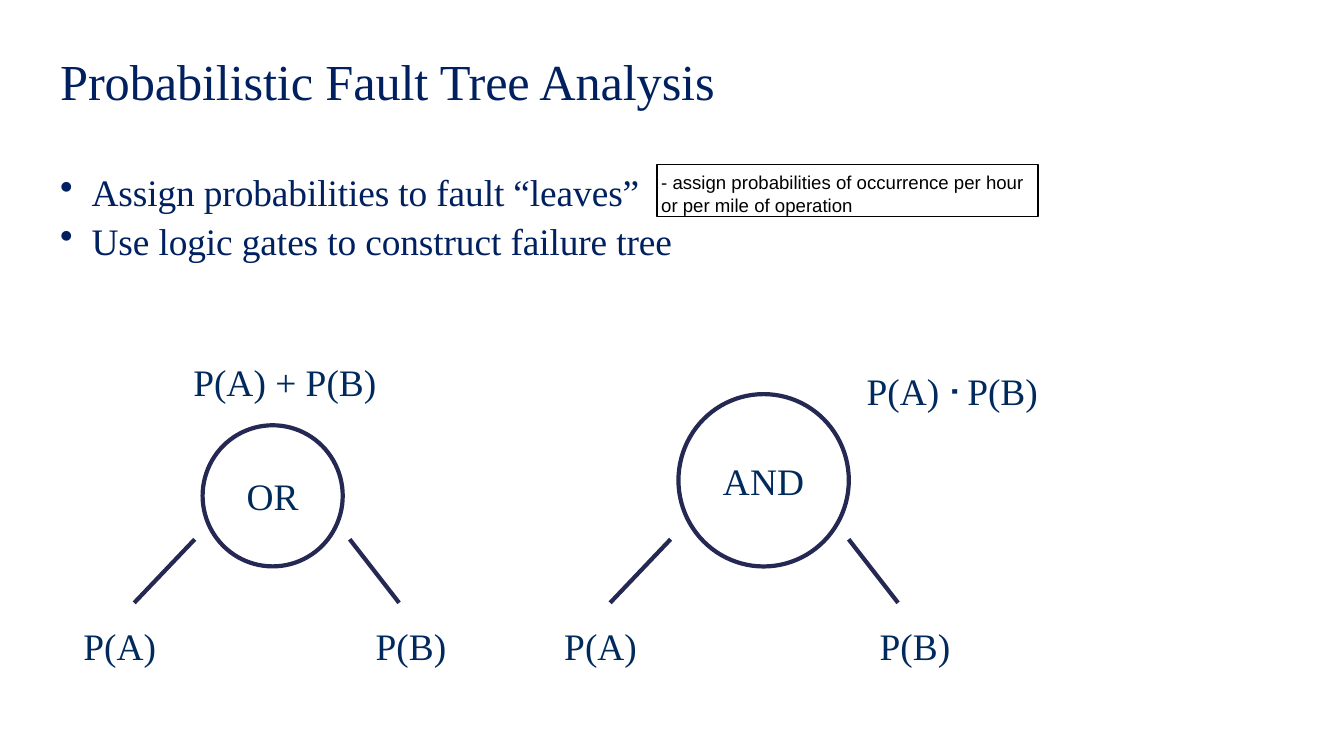
import pptx
import pptx.dml.color
import pptx.enum.shapes
import pptx.enum.text
import pptx.oxml
import pptx.oxml.ns
import pptx.util
from pptx.util import Pt

SERIF = "Times New Roman"
NAVY, LABEL, LINE, BLACK = "002060", "002A5C", "242852", "000000"
BODY = 26.7


def color(value):
    return pptx.dml.color.RGBColor.from_string(value)


def format_run(r, size, fill, font=SERIF, spacing=0):
    r.font.name = font
    r.font.size = Pt(size)
    r.font.color.rgb = color(fill)
    if spacing:
        r._r.get_or_add_rPr().set("spc", str(round(spacing * 100)))


def set_insets(tf, left=0, top=0):
    tf.word_wrap = True
    tf.margin_left, tf.margin_top = Pt(left), Pt(top)
    tf.margin_right = tf.margin_bottom = 0


def add_text(slide, box, text, size=BODY, fill=LABEL, spacing=0):
    """Add a one-paragraph box and return its paragraph."""
    sp = slide.shapes.add_textbox(*map(Pt, box))
    set_insets(sp.text_frame, 1.25, 1.25)
    p = sp.text_frame.paragraphs[0]
    p.text = text
    p.space_before = Pt(1.3)
    format_run(p.runs[0], size, fill, spacing=spacing)
    return p


def add_bullets(slide, box, items):
    sp = slide.shapes.add_textbox(*map(Pt, box))
    tf = sp.text_frame
    set_insets(tf, top=4.3)
    tf.text = "\n".join(items)
    for p, before in zip(tf.paragraphs, (4, 2.7)):
        p.space_before = Pt(before)
        pPr = p._p.get_or_add_pPr()
        pPr.set("marL", str(Pt(23.6)))
        pPr.set("indent", str(-Pt(22.5)))
        bullet = pptx.oxml.parse_xml(
            f'<a:buChar {pptx.oxml.ns.nsdecls("a")} char="•"/>')
        pPr.append(bullet)
        format_run(p.runs[0], BODY, NAVY, spacing=-0.1)


def add_shape(slide, kind, box, line, width):
    sp = slide.shapes.add_shape(kind, *map(Pt, box))
    sp.shadow.inherit = False
    sp.fill.background()
    sp.line.color.rgb = color(line)
    sp.line.width = Pt(width)
    return sp


def add_note(slide, box, text):
    kind = pptx.enum.shapes.MSO_SHAPE.RECTANGLE
    tf = add_shape(slide, kind, box, BLACK, 1).text_frame
    set_insets(tf, 2.9, 5)
    tf.vertical_anchor = pptx.enum.text.MSO_ANCHOR.TOP
    p = tf.paragraphs[0]
    p.text = text
    p.alignment = pptx.enum.text.PP_ALIGN.LEFT
    format_run(p.runs[0], 13.3, BLACK, "Arial")


def add_branch(slide, x1, x2):
    cxn = slide.shapes.add_connector(
        pptx.enum.shapes.MSO_CONNECTOR.STRAIGHT,
        Pt(x1), Pt(385.2), Pt(x2), Pt(430.6))
    cxn.line.color.rgb = color(LINE)
    cxn.line.width = Pt(3)
    cxn._element.spPr.append(
        pptx.oxml.parse_xml(f'<a:effectLst {pptx.oxml.ns.nsdecls("a")}/>'))


def add_gate(slide, name, circle, right_branch, leaves):
    """Draw a gate with a branch and a leaf label on either side."""
    kind = pptx.enum.shapes.MSO_SHAPE.OVAL
    tf = add_shape(slide, kind, circle, LINE, 3).text_frame
    set_insets(tf)
    tf.vertical_anchor = pptx.enum.text.MSO_ANCHOR.MIDDLE
    p = tf.paragraphs[0]
    p.text = name
    p.alignment = pptx.enum.text.PP_ALIGN.CENTER
    format_run(p.runs[0], BODY, LABEL, spacing=0.1)
    left_branch = circle[0] - 5.6
    add_branch(slide, left_branch, left_branch - 43.2)
    add_branch(slide, right_branch, right_branch + 35.3)
    for text, x in zip(("P(A)", "P(B)"), leaves):
        add_text(slide, (x, 444.2, 55, 33.8), text)


def main():
    prs = pptx.Presentation()
    prs.slide_width, prs.slide_height = Pt(960), Pt(540)
    slide = prs.slides.add_slide(prs.slide_layouts[6])

    add_text(slide, (41.8, 34.6, 477.4, 44.6),
             "Probabilistic Fault Tree Analysis", 36, NAVY, -0.1)
    add_bullets(slide, (41.8, 116.6, 442, 72),
                ["Assign probabilities to fault “leaves”",
                 "Use logic gates to construct failure tree"])
    add_note(slide, (469.4, 117.4, 272.2, 37.4),
             "- assign probabilities of occurrence per hour "
             "or per mile of operation")

    add_gate(slide, "OR", (144.7, 303.8, 100.1, 100.8), 249.8, (58.3, 267.1))
    add_gate(slide, "AND", (484.6, 281.5, 121.7, 123.1), 606.2, (401.8, 627.1))

    add_text(slide, (136.8, 255.6, 133.2, 33.8), "P(A) + P(B)")
    p = add_text(slide, (617.8, 261.4, 123.8, 33.8), "P(A) ")
    dot, second = p.add_run(), p.add_run()
    dot.text, second.text = "ᐧ ", "P(B)"
    format_run(dot, BODY, LABEL, "Calibri", -1.1)
    dot.font.bold = True
    format_run(second, BODY, LABEL, spacing=-0.1)

    prs.save("out.pptx")


if __name__ == "__main__":
    main()
